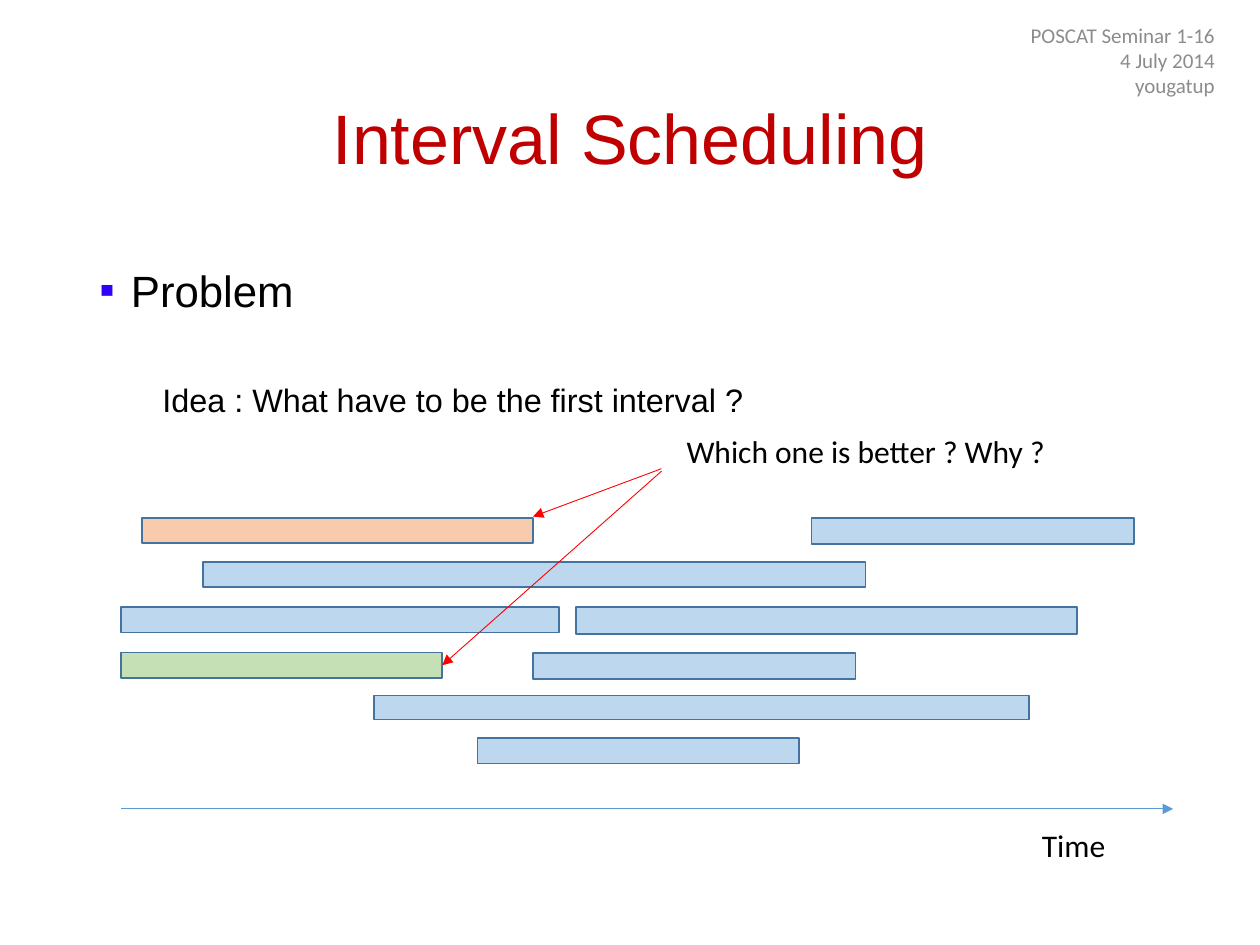
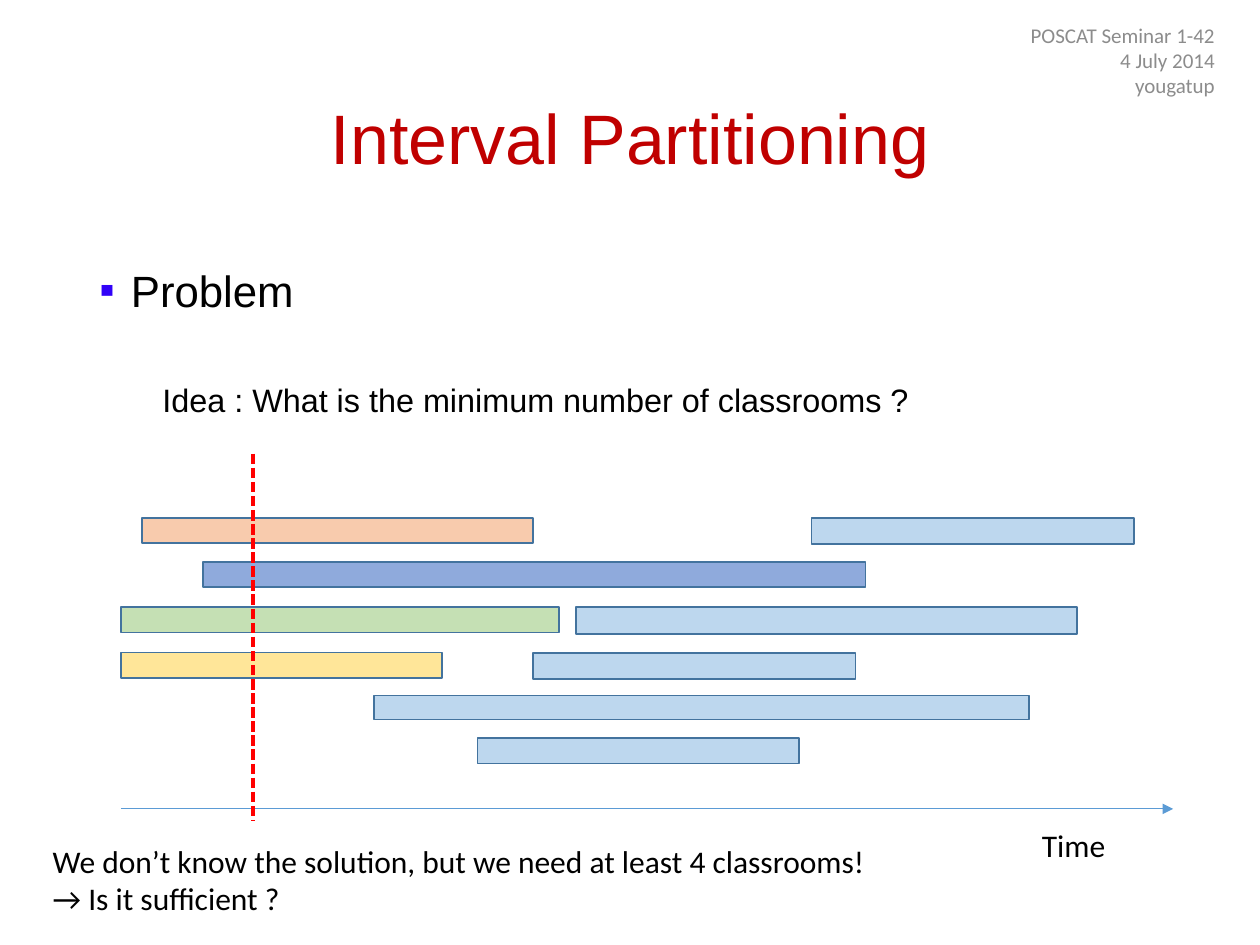
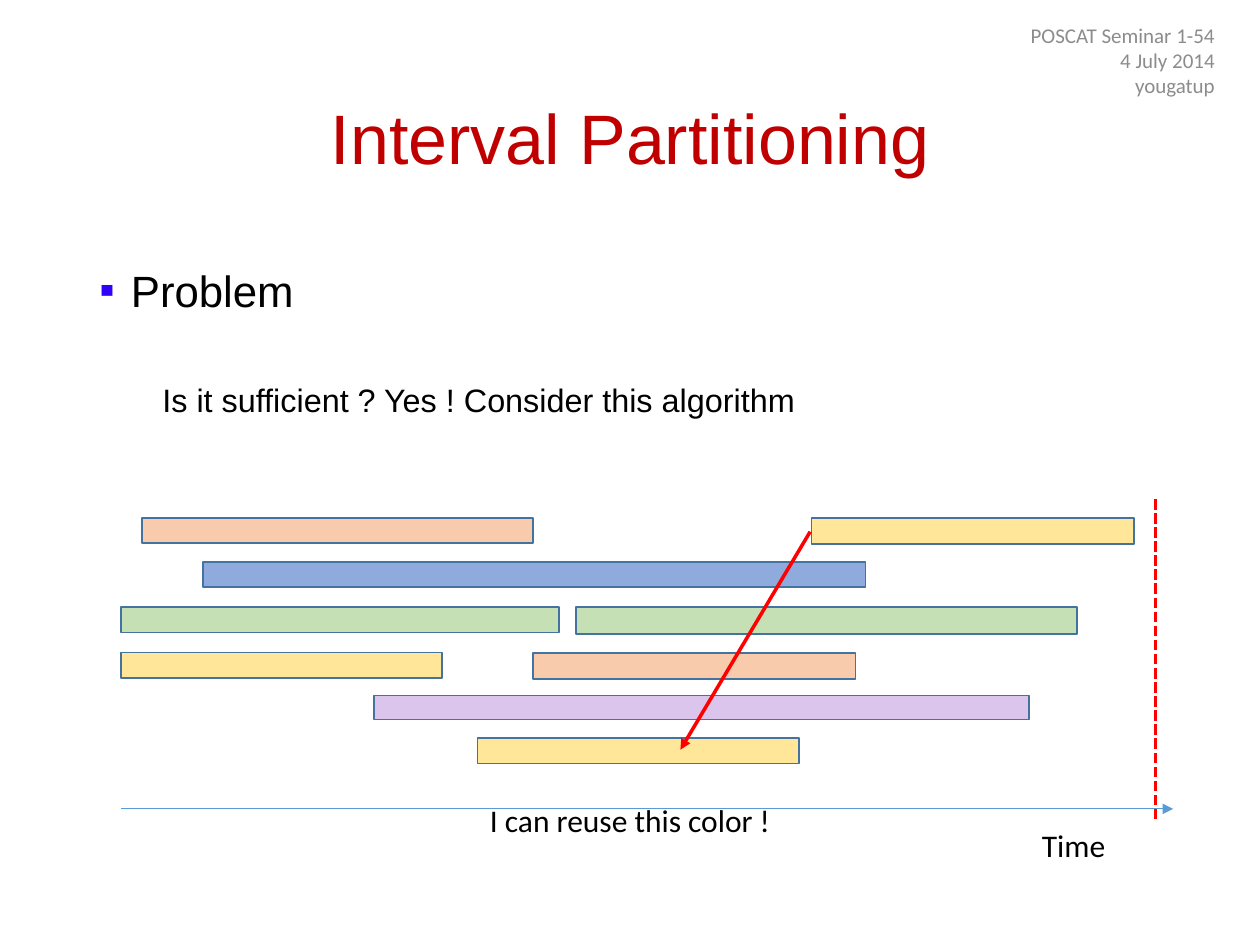
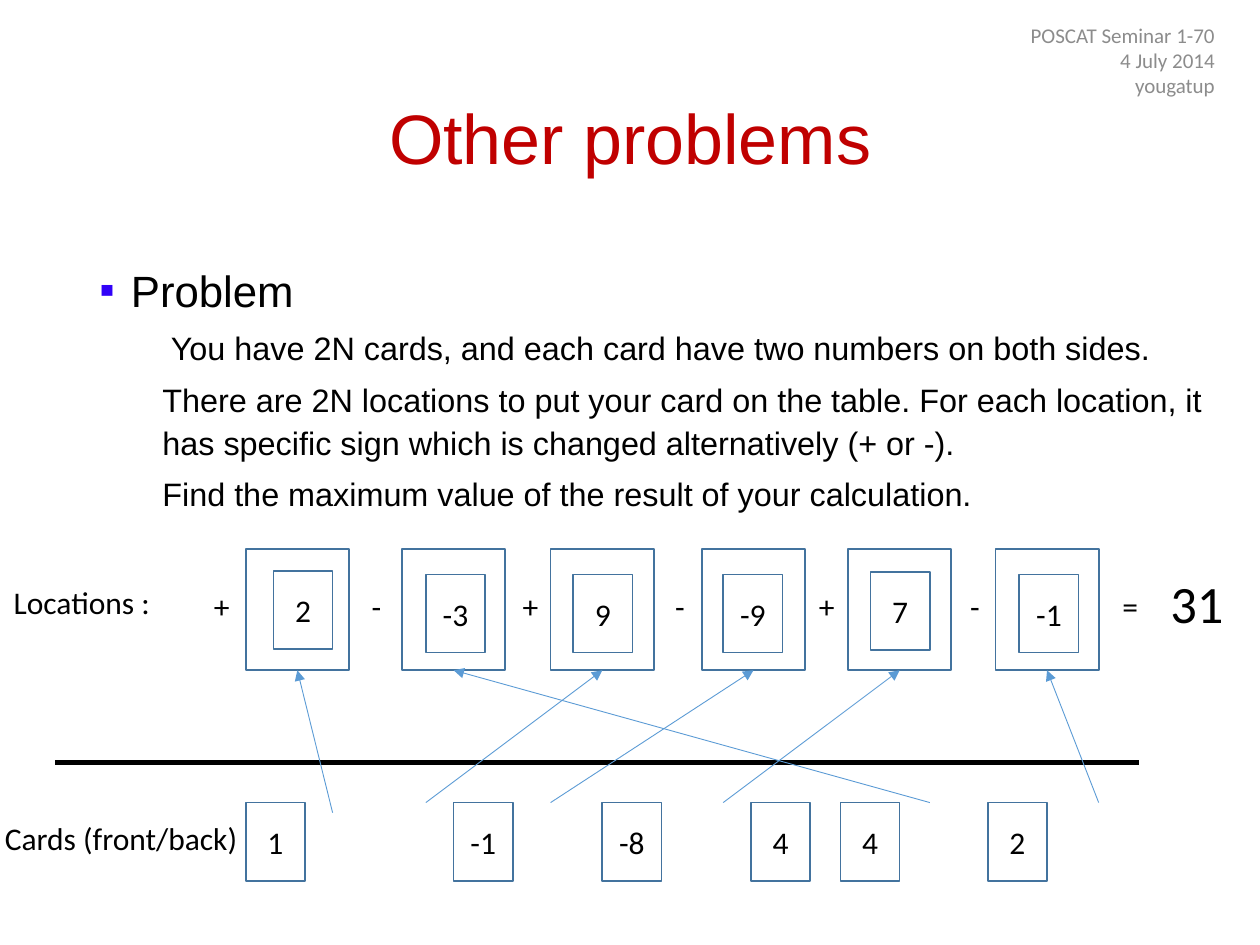
from lxml.etree import SubElement
from pptx import Presentation
from pptx.dml.color import RGBColor
from pptx.enum.dml import MSO_LINE
from pptx.enum.shapes import MSO_CONNECTOR, MSO_SHAPE
from pptx.enum.text import MSO_ANCHOR, MSO_AUTO_SIZE, PP_ALIGN
from pptx.oxml.ns import qn
from pptx.util import Inches, Pt

COLORS = {
    "title": "C00000", "text": "000000", "header": "8C8C8C", "bullet": "3102F8",
    "outline": "43739E", "axis": "5B9BD5", "mark": "FF0000",
    "sky": "BDD7EE", "orange": "F8CBAD", "green": "C5E0B4",
    "blue": "8FAADC", "yellow": "FFE699", "violet": "DCC5ED",
}
HEADING_FONT = "Arial"
LABEL_FONT = "Calibri"

INTERVALS = {
    "a": (1.13, 4.11, 3.1, 0.2),
    "b": (1.61, 4.46, 5.26, 0.2),
    "c": (0.96, 4.82, 3.48, 0.2),
    "d": (0.96, 5.18, 2.55, 0.2),
    "e": (2.97, 5.52, 5.2, 0.19),
    "f": (3.79, 5.86, 2.55, 0.2),
    "g": (4.23, 5.18, 2.56, 0.21),
    "h": (4.57, 4.82, 3.98, 0.21),
    "i": (6.44, 4.11, 2.56, 0.21),
}

FRAME_TOP, FRAME_WIDTH, FRAME_HEIGHT = 4.36, 0.82, 0.96
CARD_TOP, CARD_WIDTH, CARD_HEIGHT = 6.37, 0.47, 0.62
LOCATIONS = [
    (1.95, 2.17, 4.53, "2", (2.64, 6.45)),
    (3.19, 3.38, 4.56, "-3", (7.38, CARD_TOP)),
    (4.37, 4.55, 4.56, "9", (3.38, CARD_TOP)),
    (5.57, 5.74, 4.56, "-9", (4.37, CARD_TOP)),
    (6.73, 6.91, 4.54, "7", (5.74, CARD_TOP)),
    (7.9, 8.09, 4.56, "-1", (8.72, CARD_TOP)),
]
BACK_CARDS = [(1.95, "1"), (3.6, "-1"), (4.78, "-8"), (5.96, "4"), (6.67, "4"), (7.84, "2")]
SIGNS = [(1.6, "+"), (2.85, "-"), (4.05, "+"), (5.26, "-"), (6.4, "+"), (7.6, "-"), (8.81, "=")]


def rgb(name):
    return RGBColor.from_string(COLORS[name])


def add_span(para, text, size, font=LABEL_FONT, color="text"):
    span = para.add_run()
    span.text = text
    span.font.size = Pt(size)
    span.font.name = font
    span.font.color.rgb = rgb(color)


def add_box(page, left, top, width, height, anchor=MSO_ANCHOR.TOP):
    box = page.shapes.add_textbox(Inches(left), Inches(top), Inches(width), Inches(height))
    frame = box.text_frame
    frame.word_wrap = True
    frame.vertical_anchor = anchor
    return frame


def add_label(page, text, left, top, width, height=0.4, size=18):
    frame = add_box(page, left, top, width, height)
    frame.word_wrap = False
    frame.auto_size = MSO_AUTO_SIZE.SHAPE_TO_FIT_TEXT
    para = frame.paragraphs[0]
    for number, line in enumerate(text.split("\n")):
        if number:
            para.add_line_break()
        add_span(para, line, size)


def add_rect(page, left, top, width, height, fill=None, text=None):
    rect = page.shapes.add_shape(
        MSO_SHAPE.RECTANGLE, Inches(left), Inches(top), Inches(width), Inches(height))
    rect.shadow.inherit = False
    rect.line.color.rgb = rgb("outline")
    rect.line.width = Pt(1)
    if fill:
        rect.fill.solid()
        rect.fill.fore_color.rgb = rgb(fill)
    else:
        rect.fill.background()
    if text:
        rect.text_frame.vertical_anchor = MSO_ANCHOR.MIDDLE
        para = rect.text_frame.paragraphs[0]
        para.alignment = PP_ALIGN.CENTER
        add_span(para, text, 18)


def add_line(page, start, end, color, width=0.5, arrow=False, dashed=False):
    ends = [Inches(value) for value in (*start, *end)]
    line = page.shapes.add_connector(MSO_CONNECTOR.STRAIGHT, *ends)
    line.line.color.rgb = rgb(color)
    line.line.width = Pt(width)
    if dashed:
        line.line.dash_style = MSO_LINE.SQUARE_DOT
    if arrow:
        SubElement(line.line._get_or_add_ln(), qn("a:tailEnd"), type="triangle")
    SubElement(line._element.spPr, qn("a:effectLst"))


def add_bullet(para):
    props = para._p.get_or_add_pPr()
    color = SubElement(props, qn("a:buClr"))
    SubElement(color, qn("a:srgbClr"), val=COLORS["bullet"])
    SubElement(props, qn("a:buFont"), typeface=HEADING_FONT)
    SubElement(props, qn("a:buChar"), char="▪")


def add_body_para(para, text, size, before, margin, indent):
    para.line_spacing = 1.1
    para.space_before = Pt(before)
    props = para._p.get_or_add_pPr()
    props.set("marL", str(Inches(margin)))
    props.set("indent", str(Inches(indent)))
    add_span(para, text, size, HEADING_FONT)


def add_body(page, lines, width=8.62, gap=5):
    frame = add_box(page, 0.69, 2, width, 4.76)
    heading = frame.paragraphs[0]
    add_body_para(heading, "Problem", 25, 10, 0.25, -0.25)
    add_bullet(heading)
    for number, line in enumerate(lines):
        add_body_para(frame.add_paragraph(), line, 18.5, 5 if number else gap, 0.5, 0)


def add_page(deck, title, number):
    page = deck.slides.add_slide(deck.slide_layouts[6])
    para = add_box(page, 0.69, 0.4, 8.62, 1.45, MSO_ANCHOR.MIDDLE).paragraphs[0]
    para.alignment = PP_ALIGN.CENTER
    para.line_spacing = 0.9
    add_span(para, title, 40, HEADING_FONT, "title")
    header = add_box(page, 7.49, 0.2, 2.25, 0.55, MSO_ANCHOR.MIDDLE)
    for row, text in enumerate((f"POSCAT Seminar 1-{number}", "4 July 2014", "yougatup")):
        para = header.add_paragraph() if row else header.paragraphs[0]
        para.alignment = PP_ALIGN.RIGHT
        add_span(para, text, 12, color="header")
    return page


def add_timeline_page(deck, title, number, idea, fills):
    page = add_page(deck, title, number)
    add_body(page, [idea], gap=34.7)
    add_line(page, (0.96, 6.42), (9.31, 6.42), "axis", arrow=True)
    add_label(page, "Time", 8.17, 6.51, 0.71)
    for name, place in INTERVALS.items():
        add_rect(page, *place, fill=fills.get(name, "sky"))
    return page


def add_scheduling_page(deck):
    page = add_timeline_page(
        deck, "Interval Scheduling", 16, "Idea : What have to be the first interval ?",
        {"a": "orange", "d": "green"})
    add_line(page, (5.25, 3.72), (4.23, 4.1), "mark", arrow=True)
    add_line(page, (5.25, 3.74), (3.51, 5.28), "mark", arrow=True)
    add_label(page, "Which one is better ? Why ?", 5.35, 3.38, 3.09)


def add_partitioning_pages(deck):
    title = "Interval Partitioning"
    fills = {"a": "orange", "b": "blue", "c": "green", "d": "yellow"}
    page = add_timeline_page(
        deck, title, 42, "Idea : What is the minimum number of classrooms ?", fills)
    add_line(page, (2.01, 3.6), (2.01, 6.51), "mark", 2, dashed=True)
    add_label(
        page, "We don’t know the solution, but we need at least 4 classrooms!\n→ Is it sufficient ?",
        0.32, 6.63, 6.73, 0.71)

    reused = {"e": "violet", "f": "yellow", "g": "orange", "h": "green", "i": "yellow"}
    page = add_timeline_page(
        deck, title, 54, "Is it sufficient ? Yes ! Consider this algorithm", {**fills, **reused})
    add_line(page, (9.17, 3.96), (9.17, 6.51), "mark", 2, dashed=True)
    add_label(page, "I can reuse this color !", 3.79, 6.31, 2.45)
    add_line(page, (6.43, 4.22), (5.4, 5.95), "mark", 2, arrow=True)


def add_cards_page(deck):
    page = add_page(deck, "Other problems", 70)
    add_body(page, [
        " You have 2N cards, and each card have two numbers on both sides.",
        "There are 2N locations to put your card on the table. For each location, "
        "it has specific sign which is changed alternatively (+ or -).",
        "Find the maximum value of the result of your calculation.",
    ], width=9.05)
    for left, value in BACK_CARDS:
        add_rect(page, left, CARD_TOP, CARD_WIDTH, CARD_HEIGHT, text=value)
    add_line(page, (0.44, 6.05), (9.04, 6.05), "text", 3)
    for left, card_left, card_top, value, start in LOCATIONS:
        add_rect(page, card_left, card_top, CARD_WIDTH, CARD_HEIGHT, text=value)
        add_rect(page, left, FRAME_TOP, FRAME_WIDTH, FRAME_HEIGHT)
        end = (left + FRAME_WIDTH / 2, FRAME_TOP + FRAME_HEIGHT)
        add_line(page, start, end, "axis", arrow=True)
    add_label(page, "Cards (front/back)", -0.06, 6.45, 2.13)
    add_label(page, "Locations :", 0.01, 4.58, 1.36)
    for left, sign in SIGNS:
        add_label(page, sign, left, 4.61, 0.28 if sign == "-" else 0.33)
    add_label(page, "31", 9.19, 4.48, 0.63, 0.61, size=30)


def main():
    deck = Presentation()
    deck.slide_width = Inches(10)
    deck.slide_height = Inches(7.5)
    add_scheduling_page(deck)
    add_partitioning_pages(deck)
    add_cards_page(deck)
    deck.save("out.pptx")


if __name__ == "__main__":
    main()
